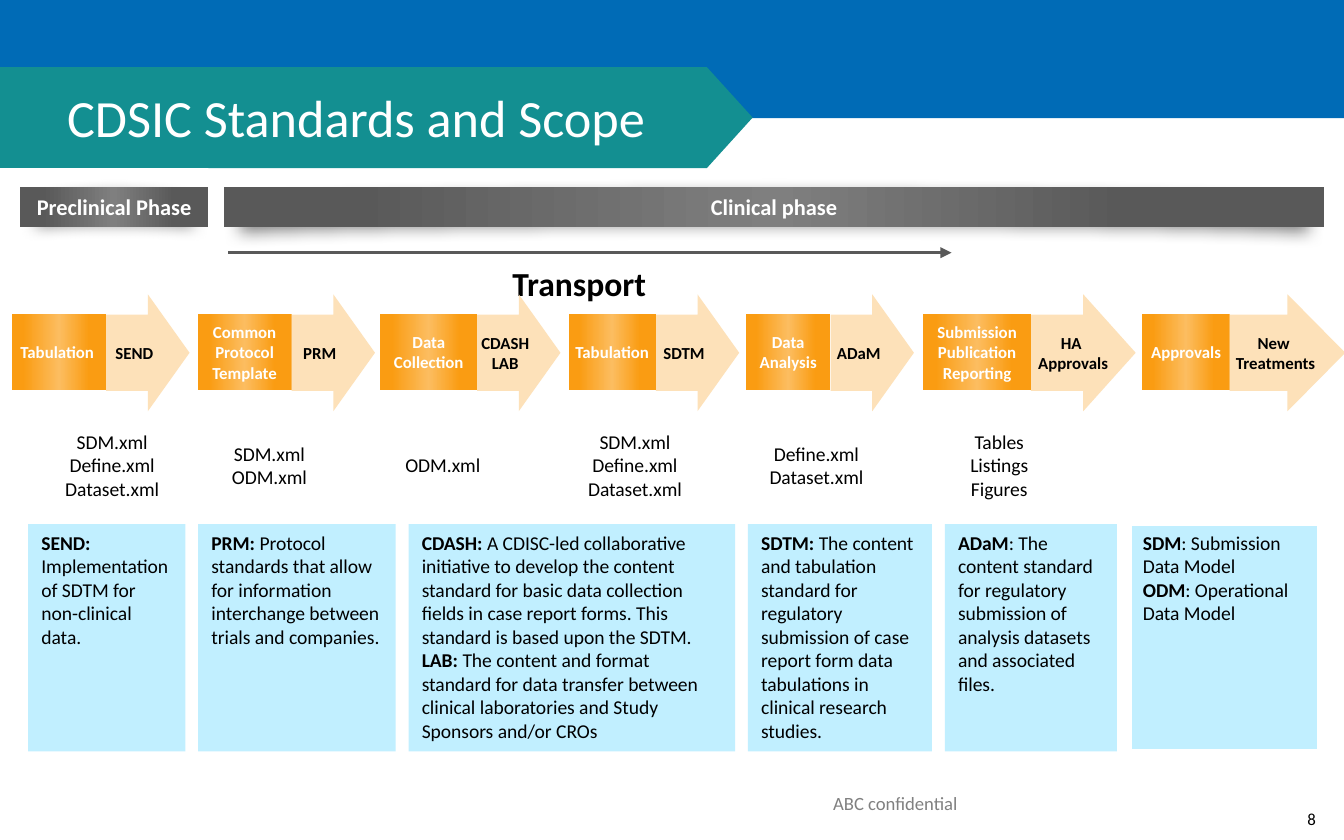
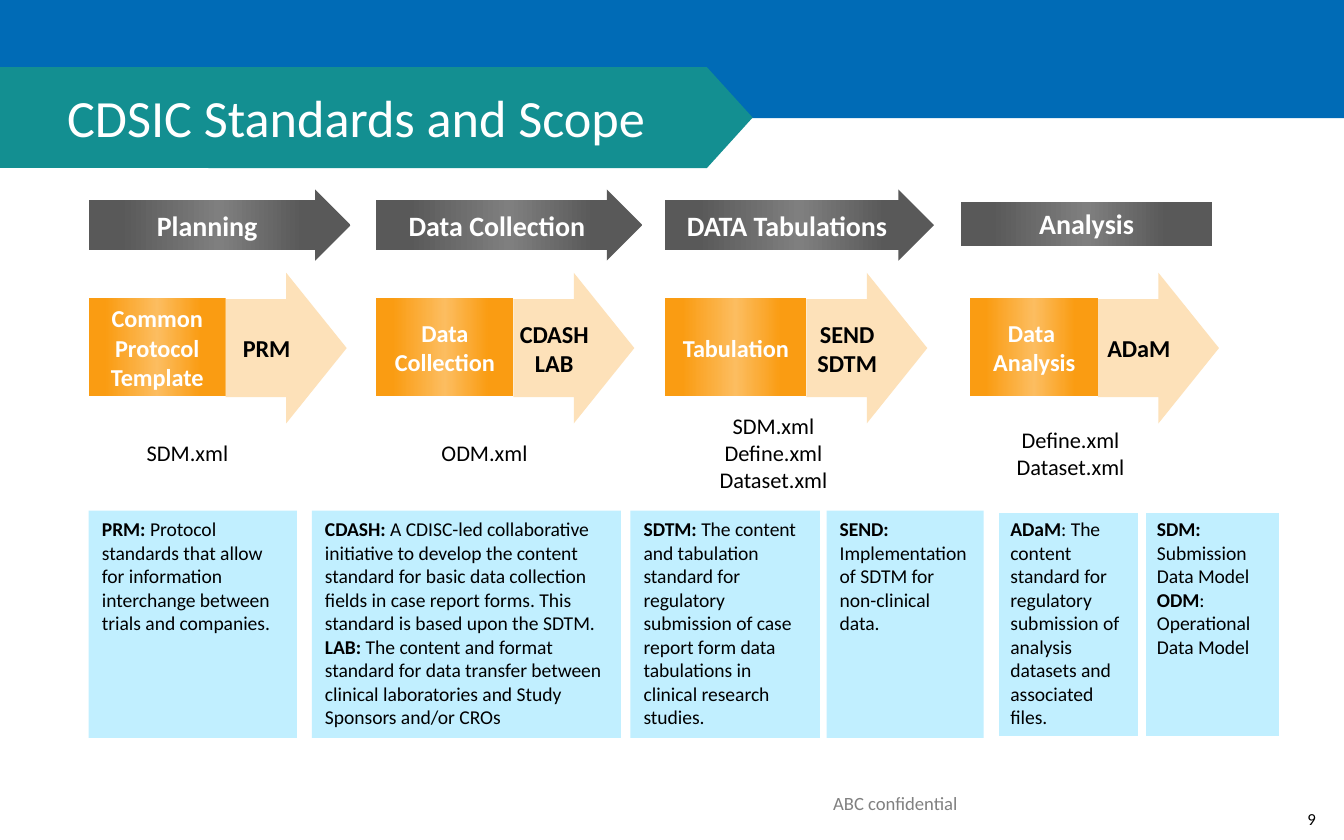
import dataclasses
import itertools

import lxml.etree
import pptx
import pptx.dml.color
import pptx.enum.shapes
import pptx.enum.text
import pptx.oxml.ns
import pptx.util

SHAPE = pptx.enum.shapes.MSO_SHAPE
ALIGN = pptx.enum.text.PP_ALIGN
ANCHOR = pptx.enum.text.MSO_ANCHOR
qn = pptx.oxml.ns.qn
Pt = pptx.util.Pt


@dataclasses.dataclass(frozen=True)
class Theme:
    font: str = "Calibri"
    blue: str = "006BB6"
    teal: str = "138F91"
    white: str = "FFFFFF"
    black: str = "000000"
    mute: str = "808080"
    dark: str = "595959"
    peach: str = "FDE1B9"
    sky: str = "C1EFFF"
    steel: tuple = ("595959", "7F7F7F", "595959")
    amber: tuple = ("FA9C12", "FCBD60", "FA9C12")
    stops: tuple = (18, 50, 88)
    title: float = 28
    big: float = 18
    step: float = 15
    task: float = 13
    bar: float = 12
    note: float = 10.5
    foot: float = 10
    small: float = 9


THEME = Theme()


def cell(count):
    """Length of grid cells; the slide is 100 columns by 62.5 rows."""
    return pptx.util.Inches(count / 10)


@dataclasses.dataclass(frozen=True)
class Box:
    """An area of the slide in grid columns and rows."""
    x: float
    y: float
    w: float
    h: float

    def inner(self, x, y, w, h):
        """The area at the given shares of this one."""
        return Box(self.x + x * self.w, self.y + y * self.h, w * self.w, h * self.h)

    def place(self):
        return [cell(v) for v in (self.x, self.y, self.w, self.h)]


def color(code):
    return pptx.dml.color.RGBColor.from_string(code)


def paint(shape, fill, edge=None):
    """Fill with one colour, or with a tuple of colours as a gradient."""
    shape.shadow.inherit = False
    if isinstance(fill, tuple):
        shape.fill.gradient()
        shape.fill.gradient_angle = 180
        stops = next(shape._element.spPr.iter(qn("a:gsLst")))
        for old in list(stops):
            stops.remove(old)
        for spot, code in zip(THEME.stops, fill):
            stop = lxml.etree.SubElement(stops, qn("a:gs"), pos=str(spot * 1000))
            lxml.etree.SubElement(stop, qn("a:srgbClr"), val=code)
    else:
        shape.fill.solid()
        shape.fill.fore_color.rgb = color(fill)
    if edge:
        shape.line.color.rgb = color(edge)
        shape.line.width = Pt(2)
    else:
        shape.line.fill.background()


def draw(slide, kind, box, fill, edge=None, adjust=()):
    shape = slide.shapes.add_shape(kind, *box.place())
    for index, value in enumerate(adjust):
        shape.adjustments[index] = value
    paint(shape, fill, edge)
    return shape


def write(shape, lines, size, ink=THEME.black, bold=False, align=ALIGN.CENTER,
          anchor=ANCHOR.MIDDLE, wrap=True, inset=(1, 0.5, 1, 0.5), after=0):
    """Each line is a string, or a bold head and a plain rest."""
    frame = shape.text_frame
    frame.word_wrap = wrap
    frame.vertical_anchor = anchor
    (frame.margin_left, frame.margin_top,
     frame.margin_right, frame.margin_bottom) = map(cell, inset)
    for index, line in enumerate(lines):
        para = frame.add_paragraph() if index else frame.paragraphs[0]
        para.alignment = align
        para.space_after = Pt(after)
        runs = [(line, bold)] if isinstance(line, str) else zip(line, (True, False))
        for text, heavy in runs:
            run = para.add_run()
            run.text = text
            font = run.font
            font.name, font.size, font.bold = THEME.font, Pt(size), heavy
            font.color.rgb = color(ink)


def label(slide, box, lines, size, **style):
    write(slide.shapes.add_textbox(*box.place()), lines, size, **style)


def frame(slide, title, page):
    """Bands, title, footer and page number."""
    draw(slide, SHAPE.RECTANGLE, Box(0, 0, 100, 8.8), THEME.blue)
    draw(slide, SHAPE.RECTANGLE, Box(0, 5, 24.6, 7.5), THEME.teal)
    tip = slide.shapes.build_freeform(cell(15.5), cell(5))
    points = [(52.6, 5), (56, 8.75), (52.6, 12.5), (15.5, 12.5)]
    tip.add_line_segments([(cell(x), cell(y)) for x, y in points], close=True)
    paint(tip.convert_to_shape(), THEME.teal)
    label(slide, Box(0, 4.9, 56, 7.5), [title], THEME.title, ink=THEME.white,
          align=ALIGN.LEFT, inset=(5, 0, 0, 0))
    label(slide, Box(95.6, 59.7, 4, 2.5), [str(page)], THEME.small,
          anchor=ANCHOR.TOP, inset=(0, 0.5, 0, 0.5))
    label(slide, Box(51.7, 58.95, 30.8, 2.3), ["ABC confidential"], THEME.foot,
          ink=THEME.mute, anchor=ANCHOR.TOP, inset=(0, 0, 1, 0.5), after=6)


def shade(slide, box):
    """Soft curved shadow under a phase bar."""
    tall = 5.5
    mid_x, mid_y = box.x + box.w / 2, box.y + box.h * 0.7
    area = Box(mid_x - tall / 2, mid_y - box.w / 2, tall, box.w)
    shape = draw(slide, SHAPE.FLOWCHART_STORED_DATA, area, THEME.mute)
    shape.rotation = 90
    effects = shape._element.spPr.find(qn("a:effectLst"))
    lxml.etree.SubElement(effects, qn("a:softEdge"), rad=str(cell(1.2)))


def phase(slide, box, text, size, arrow=False):
    kind = SHAPE.RIGHT_ARROW if arrow else SHAPE.RECTANGLE
    shape = draw(slide, kind, box, THEME.steel, adjust=(0.7, 0.5) if arrow else ())
    write(shape, [text], size, ink=THEME.white, bold=True)


def stage(slide, box, share, task, codes, size, wrap=True, indent=1):
    """Task block over the left share of the box, arrow over the rest."""
    head = draw(slide, SHAPE.RIGHT_ARROW, box.inner(share, 0, 1 - share, 1),
                THEME.peach, adjust=(0.65, 0.5))
    write(head, codes, size, bold=True, wrap=False, inset=(indent, 0.5, 1, 0.5))
    block = draw(slide, SHAPE.RECTANGLE, box.inner(0, 0.17, share, 0.65), THEME.amber)
    write(block, task, size, ink=THEME.white, bold=True, wrap=wrap)


def note(slide, box, lines, edge=None):
    shape = draw(slide, SHAPE.RECTANGLE, box, THEME.sky, edge)
    write(shape, lines, THEME.note, align=ALIGN.LEFT, anchor=ANCHOR.TOP)


SDM, ODM, DEFINE, DATA = "SDM.xml", "ODM.xml", "Define.xml", "Dataset.xml"
PLAN = ["Common Protocol Template"]
COLLECT = ["Data Collection"]
NOTES = {
    "SEND": [("SEND: ", "Implementation of SDTM for non-clinical data.")],
    "PRM": [("PRM: ", "Protocol standards that allow for information "
             "interchange between trials and companies.")],
    "CDASH": [("CDASH: ", "A CDISC-led collaborative initiative to develop the "
               "content standard for basic data collection fields in case report "
               "forms. This standard is based upon the SDTM."),
              ("LAB:", " The content and format standard for data transfer between "
               "clinical laboratories and Study Sponsors and/or CROs")],
    "SDTM": [("SDTM:", " The content and tabulation standard for regulatory "
              "submission of case report form data tabulations in clinical "
              "research studies.")],
    "ADaM": [("ADaM", ": The content standard for regulatory submission of "
              "analysis datasets and associated files.")],
}
ODM_NOTE = ("ODM", ": Operational Data Model")
TITLE = "CDSIC Standards and Scope"


def scope(slide):
    """The whole chain, from preclinical work to approval."""
    frame(slide, TITLE, 8)
    for x, w, text in [(1.5, 14, "Preclinical Phase"), (16.7, 81.8, "Clinical phase")]:
        bar = Box(x, 13.9, w, 3)
        shade(slide, bar)
        phase(slide, bar, text, THEME.bar)

    line = slide.shapes.add_connector(pptx.enum.shapes.MSO_CONNECTOR.STRAIGHT,
                                      cell(17), cell(18.8), cell(70.8), cell(18.8))
    line.line.color.rgb = color(THEME.dark)
    line.line.width = Pt(1.5)
    props = line._element.spPr
    lxml.etree.SubElement(props.find(qn("a:ln")), qn("a:tailEnd"), type="triangle")
    lxml.etree.SubElement(props, qn("a:effectLst"))
    label(slide, Box(37.1, 19.1, 12, 4), ["Transport"], THEME.big, bold=True,
          anchor=ANCHOR.TOP, wrap=False)

    files = [
        (2.8, 11.1, [SDM, DEFINE, DATA]), (16.1, 7.9, [SDM, ODM]),
        (29, 7.9, [ODM]), (42.4, 9.7, [SDM, DEFINE, DATA]),
        (55.9, 9.7, [DEFINE, DATA]), (68.7, 11.3, ["Tables", "Listings", "Figures"]),
    ]
    for x, w, lines in files:
        label(slide, Box(x, 31.6, w, 6), lines, THEME.note)

    stages = [
        (0.9, 7, 6.2, ["Tabulation "], ["SEND"], False, 1),
        (14.7, 7, 6.2, PLAN, ["PRM"], True, 1),
        (28.3, 7.2, 6.2, COLLECT, ["CDASH", "LAB"], True, 1),
        (42.3, 6.5, 6.2, ["Tabulation"], ["SDTM"], False, 1),
        (55.5, 6.3, 6.2, ["Data", "Analysis"], ["ADaM"], False, 1),
        (68.7, 8, 7.8, ["Submission", "Publication", "Reporting"],
         ["HA ", "Approvals"], False, 2),
        (85, 6.5, 8.6, ["Approvals"], ["New ", "Treatments"], False, 2),
    ]
    for x, block, head, task, codes, wrap, indent in stages:
        wide = block + head
        stage(slide, Box(x, 21.9, wide, 8.7), block / wide, task, codes,
              THEME.small, wrap, indent)

    gap = 0.95
    widths = [11.7, 14.7, 24.3, 13.7, 12.8, 14.1]
    lefts = itertools.accumulate(widths, lambda x, w: x + w + gap, initial=2.1)
    models = [("SDM", ": Submission Data Model"), ODM_NOTE]
    for x, w, lines in zip(lefts, widths, [*NOTES.values(), models]):
        edge = THEME.white if lines is models else None
        note(slide, Box(x, 39, w, 16.9), lines, edge)


def steps(slide):
    """The four steps of the clinical phase."""
    frame(slide, TITLE, 9)
    arrows = [(6.6, 19.5, "Planning"), (28, 19.8, "Data Collection"),
              (49.5, 20, "DATA Tabulations")]
    for x, w, text in arrows:
        phase(slide, Box(x, 14.1, w, 5.3), text, THEME.step, arrow=True)
    phase(slide, Box(71.5, 15, 18.7, 3.3), "Analysis", THEME.step)

    stages = [
        (6.6, 10.2, PLAN, ["PRM"], True),
        (28, 10.2, COLLECT, ["CDASH", "LAB"], True),
        (49.5, 10.5, ["Tabulation"], ["SEND", "SDTM"], True),
        (72.2, 9.5, ["Data ", "Analysis"], ["ADaM"], False),
    ]
    for x, block, task, codes, wrap in stages:
        wide = block + 9
        stage(slide, Box(x, 20.3, wide, 11.2), block / wide, task, codes,
              THEME.task, wrap)

    files = [(8.4, 11.1, [SDM]), (30.5, 11.1, [ODM]),
             (51.3, 12.5, [SDM, DEFINE, DATA]), (73.4, 12.5, [DEFINE, DATA])]
    for x, w, lines in files:
        label(slide, Box(x, 31.9, w, 3.6), lines, THEME.bar)

    models = [("SDM:", " Submission Data Model"), ODM_NOTE]
    notes = [
        (6.6, 15.5, NOTES["PRM"], None), (23.2, 23, NOTES["CDASH"], None),
        (46.9, 14.1, NOTES["SDTM"], None), (61.5, 11.7, NOTES["SEND"], None),
        (74.2, 10.6, NOTES["ADaM"], THEME.white), (85.1, 10.2, models, THEME.white),
    ]
    for x, w, lines, edge in notes:
        note(slide, Box(x, 38, w, 16.9), lines, edge)


def main():
    deck = pptx.Presentation()
    deck.slide_width, deck.slide_height = cell(100), cell(62.5)
    for build in (scope, steps):
        build(deck.slides.add_slide(deck.slide_layouts[6]))
    deck.save("out.pptx")


if __name__ == "__main__":
    main()
